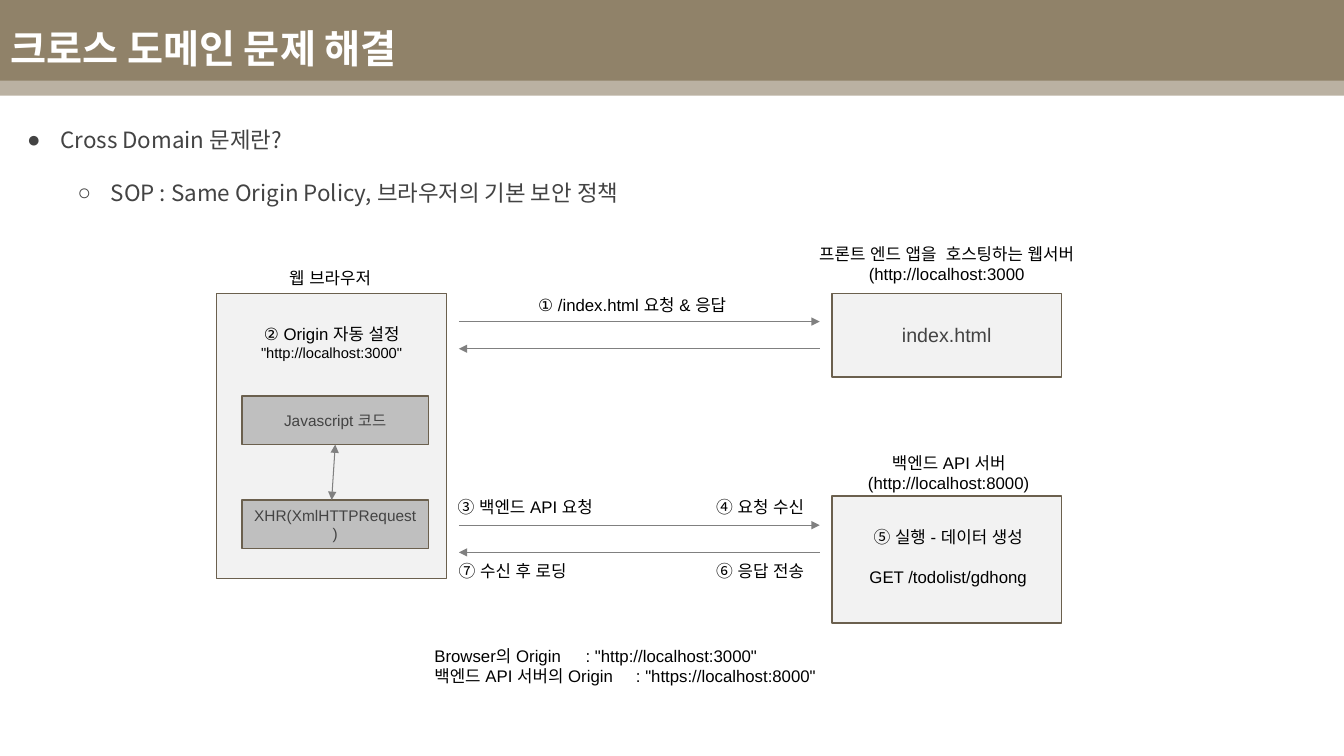
from dataclasses import dataclass

from lxml.etree import SubElement
from pptx import Presentation
from pptx.dml.color import RGBColor
from pptx.enum.shapes import MSO_CONNECTOR, MSO_SHAPE
from pptx.enum.text import MSO_ANCHOR, MSO_AUTO_SIZE, PP_ALIGN
from pptx.oxml.ns import qn
from pptx.util import Inches, Pt


@dataclass(frozen=True)
class Theme:
    """Colours, fonts and type sizes of the slide."""
    band: str = "908269"
    white: str = "FFFFFF"
    black: str = "000000"
    body: str = "434343"
    panel: str = "F2F2F2"
    module: str = "BFBFBF"
    outline: str = "6B604E"
    arrow: str = "808080"
    heading_font: str = "Noto Sans CJK KR"
    diagram_font: str = "Arial"
    title_size: float = 28
    body_size: float = 16
    box_size: float = 14
    label_size: float = 12
    module_size: float = 11
    small_size: float = 10.5


T = Theme()


def set_attrs(obj, values):
    """Set every attribute named in a dict of format values."""
    for name, value in values.items():
        setattr(obj, name, value)


def add_run(p, text, size, color, font=T.diagram_font, bold=False):
    """Add one formatted run to a paragraph."""
    r = p.add_run()
    r.text = text
    set_attrs(r.font, {"size": Pt(size), "bold": bold, "name": font})
    r.font.color.rgb = RGBColor.from_string(color)
    SubElement(r.font._element, qn("a:ea"), typeface=font)


def place(sp, box):
    """Move a shape to left, top, width and height in inches."""
    set_attrs(sp, dict(zip(("left", "top", "width", "height"), map(Inches, box))))


def add_rect(s, box, fill, text="", size=T.box_size, line=T.outline):
    """Add a rectangle with optional outline and centred text."""
    sp = s.shapes.add_shape(MSO_SHAPE.RECTANGLE, *map(Inches, box))
    sp.shadow.inherit = False
    sp.fill.solid()
    sp.fill.fore_color.rgb = RGBColor.from_string(fill)
    if line:
        sp.line.color.rgb = RGBColor.from_string(line)
        sp.line.width = Pt(1)
    else:
        sp.line.fill.background()
    if text:
        sp.text_frame.vertical_anchor = MSO_ANCHOR.MIDDLE
        p = sp.text_frame.paragraphs[0]
        p.alignment = PP_ALIGN.CENTER
        add_run(p, text, size, T.body)
    return sp


def add_bands(s):
    """Add the two header bands behind everything else."""
    main_band = add_rect(s, (0, 0, 13.33, 0.8), T.band, line=None)
    soft_band = add_rect(s, (0, 0.65, 13.33, 0.3), T.band, line=None)
    color = soft_band.fill._xPr.find(qn("a:solidFill"))[0]
    SubElement(color, qn("a:alpha"), val="62000")
    for index, sp in enumerate((main_band, soft_band), 2):
        s.shapes._spTree.insert(index, sp._element)


def add_label(s, box, lines, align=PP_ALIGN.CENTER, sizes=(), gap=0):
    """Add an unwrapped label, with a gap above its later lines."""
    tf = s.shapes.add_textbox(*map(Inches, box)).text_frame
    set_attrs(tf, {"word_wrap": False, "auto_size": MSO_AUTO_SIZE.SHAPE_TO_FIT_TEXT})
    for i, text in enumerate(lines):
        p = tf.add_paragraph() if i else tf.paragraphs[0]
        set_attrs(p, {"alignment": align, "space_before": Pt(gap if i else 0)})
        add_run(p, text, sizes[i] if sizes else T.label_size, T.black)


def add_arrow(s, start, end, heads=("tailEnd",)):
    """Add a thin straight arrow with triangle heads."""
    cx = s.shapes.add_connector(MSO_CONNECTOR.STRAIGHT, *map(Inches, start + end))
    cx.line.color.rgb = RGBColor.from_string(T.arrow)
    cx.line.width = Pt(0.75)
    for head in heads:
        SubElement(cx.line._get_or_add_ln(), qn(f"a:{head}"), type="triangle")
    SubElement(cx._element.spPr, qn("a:effectLst"))
    return cx


def fill_title(s, text):
    """Place and format the title placeholder."""
    title = s.shapes.title
    place(title, (0, 0.15, 12, 0.65))
    tf = title.text_frame
    inset = Inches(0.1)
    set_attrs(tf, {"vertical_anchor": MSO_ANCHOR.MIDDLE, "auto_size": MSO_AUTO_SIZE.NONE,
                   "margin_top": inset, "margin_bottom": inset})
    p = tf.paragraphs[0]
    p.alignment = PP_ALIGN.LEFT
    add_run(p, text, T.title_size, T.white, T.heading_font, True)


def fill_body(s, items):
    """Place the body placeholder and write its bulleted levels."""
    body = s.placeholders[1]
    place(body, (0, 1.11, 12.85, 5.99))
    tf = body.text_frame
    inset = Inches(0.1)
    set_attrs(tf, {"vertical_anchor": MSO_ANCHOR.TOP, "auto_size": MSO_AUTO_SIZE.NONE,
                   "margin_top": inset, "margin_bottom": inset})
    for level, (bullet, text) in enumerate(items):
        p = tf.add_paragraph() if level else tf.paragraphs[0]
        set_attrs(p, {"level": level, "line_spacing": 1.15, "space_before": Pt(16 * level)})
        pPr = p._p.get_or_add_pPr()
        pPr.set("marL", str(Inches(0.5 * (level + 1))))
        pPr.set("indent", str(Inches(-0.33)))
        SubElement(SubElement(pPr, qn("a:buClr")), qn("a:srgbClr"), val=T.body)
        SubElement(pPr, qn("a:buChar"), char=bullet)
        add_run(p, text, T.body_size, T.body, T.heading_font)


def add_exchange(s, top):
    """Add a request arrow with its response arrow below."""
    left, right = 4.55, 8.13
    add_arrow(s, (left, top), (right, top))
    add_arrow(s, (right, top + 0.27), (left, top + 0.27))


def add_browser(s):
    """Draw the browser panel with its two linked modules."""
    add_rect(s, (2.15, 2.91, 2.28, 2.83), T.panel)
    add_label(s, (2.77, 2.61, 1.1, 0.3), ["웹 브라우저"], PP_ALIGN.LEFT)
    add_label(s, (2.44, 3.16, 1.7, 0.48), ["② Origin 자동 설정", '"http://localhost:3000"'],
              sizes=(T.label_size, T.small_size))
    code, _ = [add_rect(s, (2.4, top, 1.85, 0.48), T.module, text, T.module_size)
               for top, text in ((3.93, "Javascript 코드"), (4.96, "XHR(XmlHTTPRequest)"))]
    link = add_arrow(s, (3.33, 4.41), (3.29, 4.96), ("headEnd", "tailEnd"))
    link.begin_connect(code, 2)


def add_servers(s):
    """Draw the front-end and back-end servers."""
    add_rect(s, (8.25, 2.91, 2.28, 0.83), T.panel, "index.html")
    add_label(s, (7.88, 2.37, 3.02, 0.5),
              ["프론트 엔드 앱을  호스팅하는 웹서버", "(http://localhost:3000"])
    add_rect(s, (8.25, 4.92, 2.28, 1.26), T.panel)
    add_label(s, (8.47, 4.44, 1.88, 0.5), ["백엔드 API 서버", "(http://localhost:8000)"])
    add_label(s, (8.46, 5.18, 1.89, 0.71),
              ["⑤ 실행 - 데이터 생성", "GET /todolist/gdhong"], gap=14)


def main():
    """Build the slide and save it."""
    prs = Presentation()
    set_attrs(prs, {"slide_width": Inches(13.33), "slide_height": Inches(7.5)})
    s = prs.slides.add_slide(prs.slide_layouts[1])
    add_bands(s)
    fill_title(s, "크로스 도메인 문제 해결")
    fill_body(s, [("●", "Cross Domain 문제란?"),
                  ("○", "SOP : Same Origin Policy, 브라우저의 기본 보안 정책")])
    add_browser(s)
    add_servers(s)
    for top in (3.19, 5.21):
        add_exchange(s, top)
    for left, top, width, text in (
            (5.13, 2.87, 2.28, "① /index.html 요청 & 응답"),
            (4.39, 4.88, 1.64, "③ 백엔드 API 요청"),
            (6.96, 4.88, 1.16, "④ 요청 수신"),
            (6.96, 5.51, 1.16, "⑥ 응답 전송"),
            (4.39, 5.51, 1.39, "⑦ 수신 후 로딩")):
        add_label(s, (left, top, width, 0.3), [text])
    add_label(s, (4.21, 6.36, 4.1, 0.5),
              ['Browser의 Origin \t: "http://localhost:3000"',
               '백엔드 API 서버의 Origin \t: "https://localhost:8000"'], PP_ALIGN.LEFT)
    prs.save("out.pptx")


if __name__ == "__main__":
    main()
